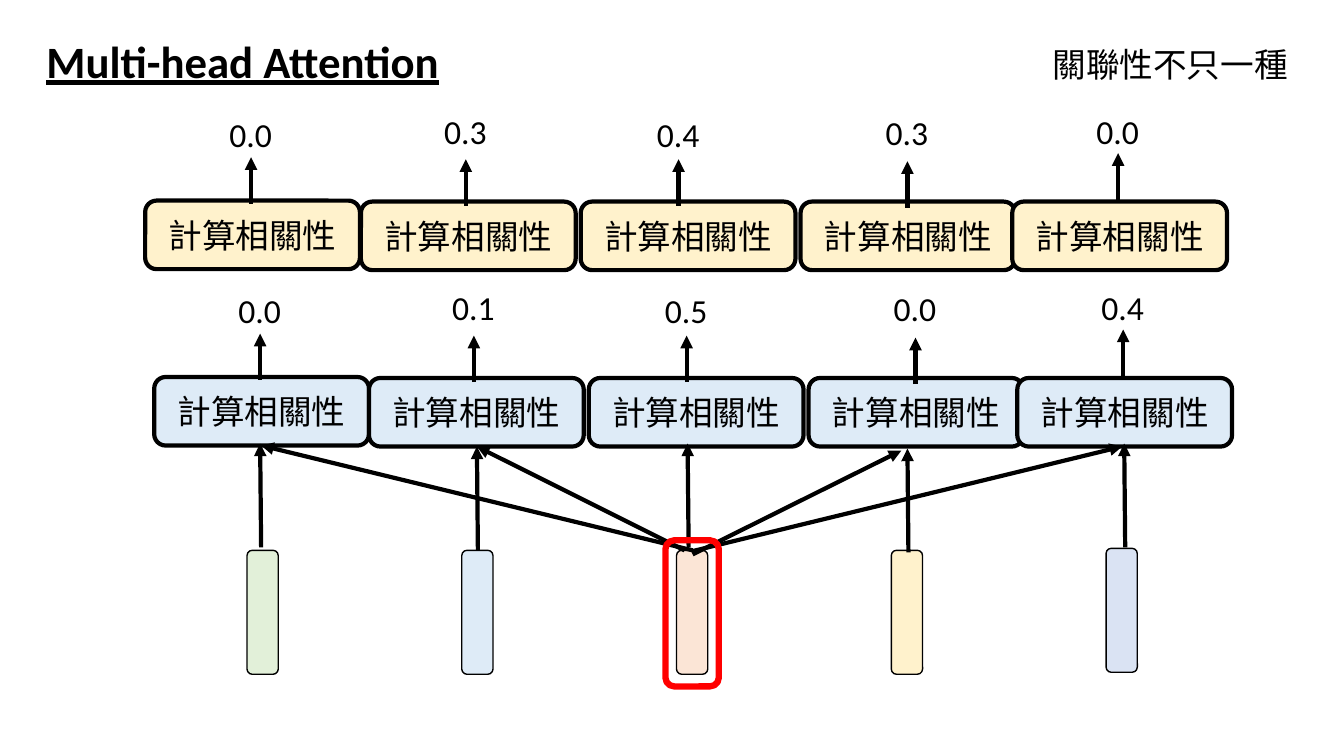
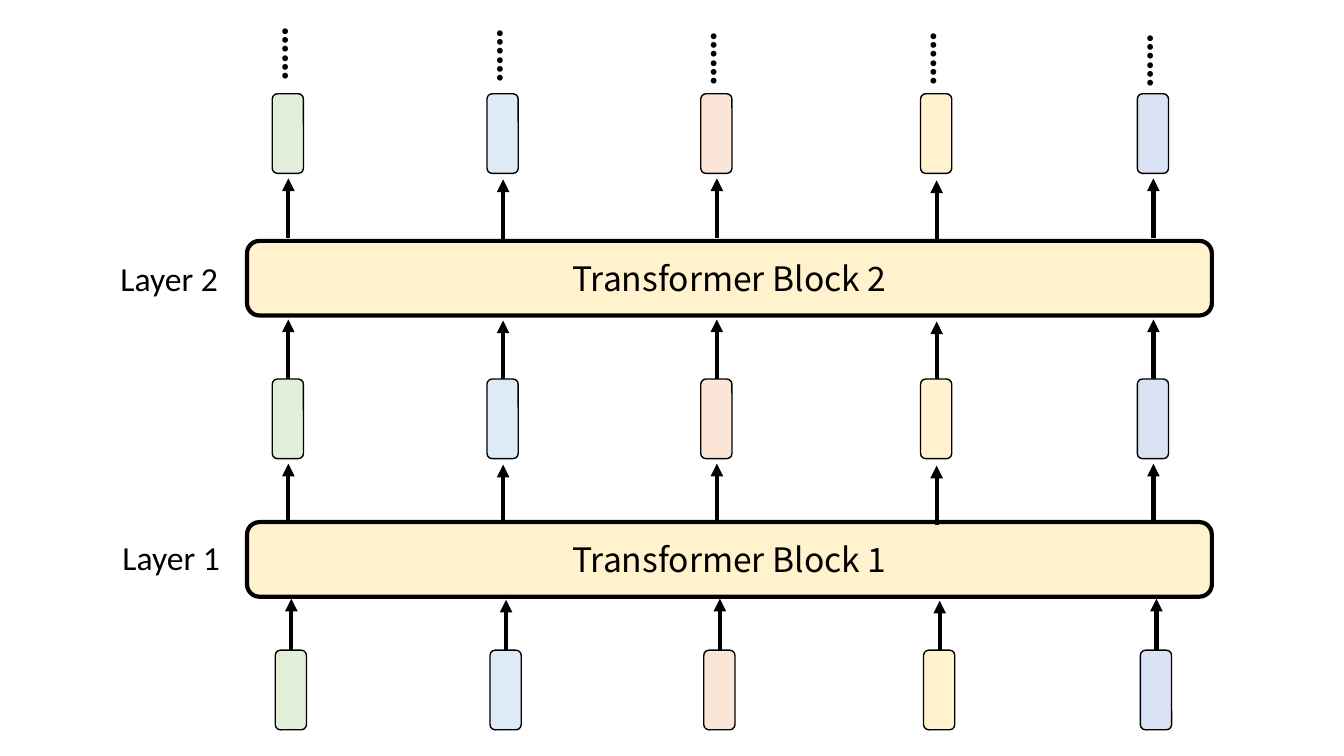
from lxml.etree import SubElement
from pptx import Presentation
from pptx.dml.color import RGBColor
from pptx.enum.shapes import MSO_CONNECTOR, MSO_SHAPE
from pptx.enum.text import MSO_ANCHOR, MSO_AUTO_SIZE, PP_ALIGN
from pptx.oxml.ns import qn
from pptx.util import Pt

PX = 9144  # 100 px to the inch
COLORS = {
    "black": "000000", "red": "FF0000", "green": "E2F0D9", "sky": "DEEBF7",
    "peach": "FBE5D6", "cream": "FFF2CC", "lilac": "DAE3F3",
}
TOKEN_COLORS = ("green", "sky", "peach", "cream", "lilac")
LATIN, CJK = "Calibri", "Noto Sans CJK SC"
TOKEN_W = 31

# Per column: box left, box top, arrow x, arrow tip, score top
HEAD_COLUMNS = (
    (144, 199, 249, 156, 108),
    (358, 200, 462, 158, 105),
    (576, 200, 673, 158, 108),
    (794, 200, 900, 160, 106),
    (1004, 200, 1109, 152, 105),
)
LAYER_COLUMNS = (270, 483, 695, 913, 1128)


def px(*lengths):
    return [round(n * PX) for n in lengths]


def rgb(name):
    return RGBColor.from_string(COLORS[name])


def write(tf, text, size=24, font=LATIN, bold=False, underline=False,
          align=PP_ALIGN.LEFT, anchor=MSO_ANCHOR.TOP):
    tf.word_wrap = True
    tf.auto_size = MSO_AUTO_SIZE.NONE
    tf.vertical_anchor = anchor
    p = tf.paragraphs[0]
    p.alignment = align
    r = p.add_run()
    r.text = text
    f = r.font
    f.size, f.name, f.bold, f.underline = Pt(size), font, bold, underline
    f.color.rgb = rgb("black")
    SubElement(r._r.get_or_add_rPr(), qn("a:ea"), typeface=font)


def add_text(s, box, text, rotation=0, **fmt):
    sp = s.shapes.add_textbox(*px(*box))
    sp.rotation = rotation
    write(sp.text_frame, text, **fmt)


def add_title(s, box, text):
    sp = s.shapes.title
    sp.left, sp.top, sp.width, sp.height = px(*box)
    write(sp.text_frame, text, size=32, bold=True, underline=True)


def add_round_rect(s, box, fill=None, line="black", width=3, text=None):
    sp = s.shapes.add_shape(MSO_SHAPE.ROUNDED_RECTANGLE, *px(*box))
    sp.shadow.inherit = False
    if fill:
        sp.fill.solid()
        sp.fill.fore_color.rgb = rgb(fill)
    else:
        sp.fill.background()
    sp.line.color.rgb = rgb(line)
    sp.line.width = Pt(width)
    if text:
        write(sp.text_frame, text, font=CJK, align=PP_ALIGN.CENTER,
              anchor=MSO_ANCHOR.MIDDLE)


def add_token(s, x, y, height, color):
    add_round_rect(s, (x, y, TOKEN_W, height), color, width=1)


def add_arrow(s, start, end):
    c = s.shapes.add_connector(MSO_CONNECTOR.STRAIGHT, *px(*start, *end))
    c.line.color.rgb = rgb("black")
    c.line.width = Pt(3)
    SubElement(c.line._get_or_add_ln(), qn("a:tailEnd"), type="triangle")
    SubElement(c._element.spPr, qn("a:effectLst"))


def add_head(s, color, scores, shifts=(0,) * 5, dy=0):
    """Draw a row of relevance boxes, each with an arrow up to its score."""
    for (box_x, box_y, *_), dx in zip(HEAD_COLUMNS, shifts):
        add_round_rect(s, (box_x + dx, box_y + dy, 213, 68), color,
                       text="計算相關性")
    for column, dx, score in zip(HEAD_COLUMNS, shifts, scores):
        x, tip, score_y = column[2] + dx, column[3] + dy, column[4] + dy
        add_arrow(s, (x, tip + 46), (x, tip))
        add_text(s, (x - 51, score_y, 101, 50), score, align=PP_ALIGN.CENTER)


def build_attention(prs):
    s = prs.slides.add_slide(prs.slide_layouts[5])
    add_title(s, (36, 28, 667, 64), "Multi-head Attention")
    add_text(s, (1034, 39, 290, 50), "關聯性不只一種", font=CJK)

    token_tops = (546, 546, 546, 546, 544)
    for i, (y, color) in enumerate(zip(token_tops, TOKEN_COLORS)):
        add_token(s, 245 + 213 * i, y, 123, color)

    add_head(s, "sky", ("0.0", "0.1", "0.5", "0.0", "0.4"),
             shifts=(9, 8, 8, 8, 5), dy=175)
    for x, tip in ((258, 440), (473, 443), (682, 440), (900, 445), (1115, 440)):
        add_arrow(s, (x + 1, tip + 103), (x, tip))
    for start, end in (((687, 546), (259, 442)), ((679, 546), (473, 443)),
                       ((687, 550), (894, 447)), ((686, 547), (1113, 443))):
        add_arrow(s, start, end)
    add_round_rect(s, (660, 536, 53, 145), line="red", width=4.5)

    add_head(s, "cream", ("0.0", "0.3", "0.4", "0.3", "0.0"))


def build_layers(prs):
    s = prs.slides.add_slide(prs.slide_layouts[6])
    for n, block_y, label_x, label_y in ((1, 518, 104, 528), (2, 239, 102, 251)):
        add_round_rect(s, (245, block_y, 957, 74), "cream",
                       text=f"Transformer Block {n}")
        add_text(s, (label_x, label_y, 124, 50), f"Layer {n}",
                 align=PP_ALIGN.RIGHT)

    tip_drops = (0, 1, 0, 2, 0)
    dot_tops = (30, 32, 35, 35, 37)
    for x, color, drop, dot_y in zip(LAYER_COLUMNS, TOKEN_COLORS,
                                     tip_drops, dot_tops):
        for dx, tip in ((3, 594), (0, 460), (0, 317), (0, 177)):
            arrow_x = x + dx + 16
            add_arrow(s, (arrow_x, tip + drop + 59), (arrow_x, tip + drop))
        for dx, y in ((3, 645), (0, 376), (0, 93)):
            add_token(s, x + dx, y, 79, color)
        add_text(s, (x - 17, dot_y, 85, 57), "……", rotation=90,
                 size=28, bold=True)


def main():
    prs = Presentation()
    prs.slide_width, prs.slide_height = px(1333, 750)
    build_attention(prs)
    build_layers(prs)
    prs.save("out.pptx")


if __name__ == "__main__":
    main()
